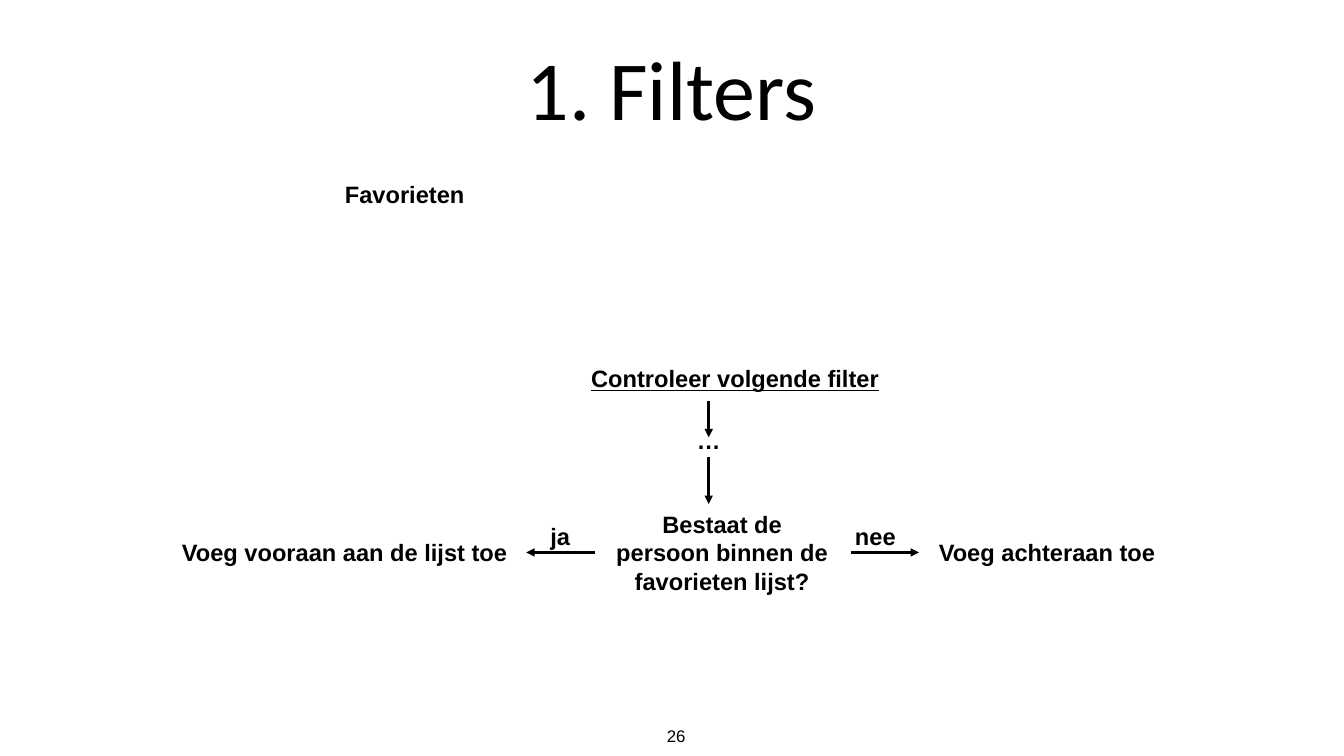
from pptx import Presentation
from pptx.dml.color import RGBColor
from pptx.enum.shapes import MSO_CONNECTOR
from pptx.enum.text import MSO_ANCHOR, MSO_AUTO_SIZE, PP_ALIGN
from pptx.oxml.ns import qn
from pptx.util import Cm, Pt
from lxml import etree

STRAIGHT = MSO_CONNECTOR.STRAIGHT
MIDDLE, BOTTOM = MSO_ANCHOR.MIDDLE, MSO_ANCHOR.BOTTOM
CENTER = PP_ALIGN.CENTER
GROW, FIXED = MSO_AUTO_SIZE.SHAPE_TO_FIT_TEXT, MSO_AUTO_SIZE.NONE
BLACK = RGBColor(0, 0, 0)
WHITE = RGBColor(255, 255, 255)

# Content: lengths in cm
TITLE = "1. Filters"
PAGE_NUMBER = "26"
LINE_HEIGHT = 0.91
FLOW_X = 17.86      # axis of the downward arrows
DECISION_Y = 13.92  # axis of the yes and no arrows
ANSWER_Y = 13.51    # middle of the words above those arrows

# Text, centre x, centre y, width, extra font values
LABELS = [
    ("Favorieten", 10.2, 4.88, 3.23, {}),
    ("Controleer volgende filter", 18.53, 9.53, 7.49, {"underline": True}),
    ("…", FLOW_X, 11.1, 0.81, {}),
    ("Voeg vooraan aan de lijst toe", 8.69, DECISION_Y, 8.48, {}),
    ("ja", 14.12, ANSWER_Y, 0.71, {}),
    ("nee", 22.06, ANSWER_Y, 1.24, {}),
    ("Voeg achteraan toe", 26.39, DECISION_Y, 5.74, {}),
]
QUESTION = "Bestaat de persoon binnen de favorieten lijst?"
QUESTION_BOX = (18.2, DECISION_Y, 5.72, 2.36)

# Start x, start y, end x, end y
ARROWS = [
    (FLOW_X, 10.11, FLOW_X, 11.02),
    (FLOW_X, 11.51, FLOW_X, 12.7),
    (14.99, DECISION_Y, 13.26, DECISION_Y),
    (21.44, DECISION_Y, 23.16, DECISION_Y),
]

LABEL_FONT = {"name": "Arial", "size": Pt(16.9), "bold": True}
NUMBER_FONT = {"name": "Arial", "size": Pt(12)}
TITLE_FONT = {"name": "Calibri", "size": Pt(60), "bold": False}


def set_values(target, values):
    for name, value in values.items():
        setattr(target, name, value)


def write(box, text, font, frame_values):
    frame = box.text_frame
    set_values(frame, frame_values)
    para = frame.paragraphs[0]
    para.alignment = CENTER
    span = para.add_run()
    span.text = text
    set_values(span.font, font)
    span.font.color.rgb = BLACK
    return para


def add_label(page, text, center_x, center_y, width, height, font,
              wrap=False, inset=0.1):
    box = page.shapes.add_textbox(
        Cm(center_x - width / 2), Cm(center_y - height / 2),
        Cm(width), Cm(height))
    margins = {"margin_" + side: Cm(inset)
               for side in ("left", "top", "right", "bottom")}
    write(box, text, font, {"word_wrap": wrap, "auto_size": GROW,
                            "vertical_anchor": MIDDLE, **margins})


def add_arrow(page, *ends):
    arrow = page.shapes.add_connector(STRAIGHT, *map(Cm, ends))
    arrow.line.color.rgb = BLACK
    arrow.line.width = Pt(2)
    head = etree.SubElement(arrow.line._get_or_add_ln(), qn("a:tailEnd"))
    head.set("type", "triangle")
    etree.SubElement(arrow._element.spPr, qn("a:effectLst"))


def main():
    deck = Presentation()
    deck.slide_width, deck.slide_height = Cm(33.87), Cm(19.05)
    page = deck.slides.add_slide(deck.slide_layouts[5])
    page.background.fill.solid()
    page.background.fill.fore_color.rgb = WHITE

    # Title
    title = page.shapes.title
    set_values(title, {"left": Cm(3.3), "top": Cm(0.84),
                       "width": Cm(27.25), "height": Cm(2.77)})
    para = write(title, TITLE, TITLE_FONT,
                 {"vertical_anchor": BOTTOM, "word_wrap": True,
                  "auto_size": FIXED})
    para.line_spacing = 0.9

    # Flow arrows
    for ends in ARROWS:
        add_arrow(page, *ends)

    # Labels and the question
    for text, center_x, center_y, width, extra in LABELS:
        add_label(page, text, center_x, center_y, width, LINE_HEIGHT,
                  {**LABEL_FONT, **extra})
    add_label(page, QUESTION, *QUESTION_BOX, LABEL_FONT, wrap=True)

    # Page number
    add_label(page, PAGE_NUMBER, 17.04, 18.54, 0.51, 0.76, NUMBER_FONT,
              inset=0)

    deck.save("out.pptx")


if __name__ == "__main__":
    main()
